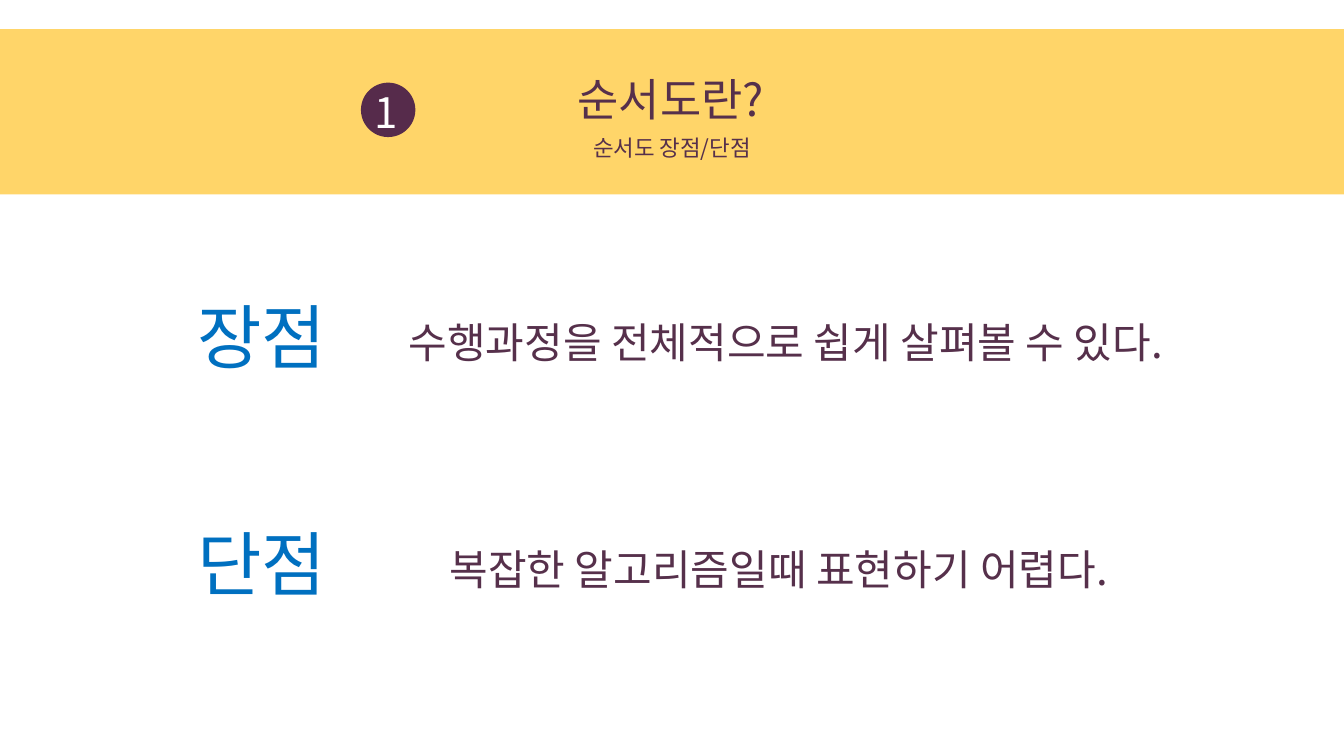
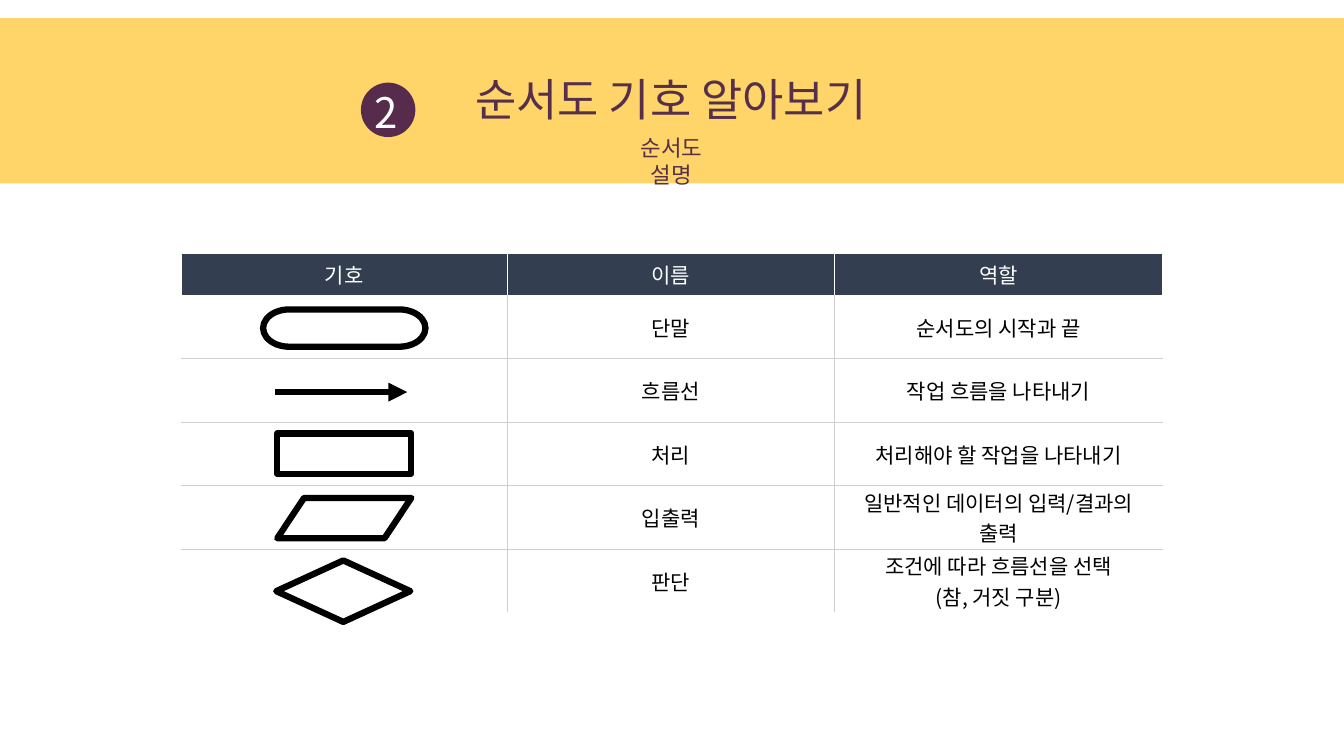
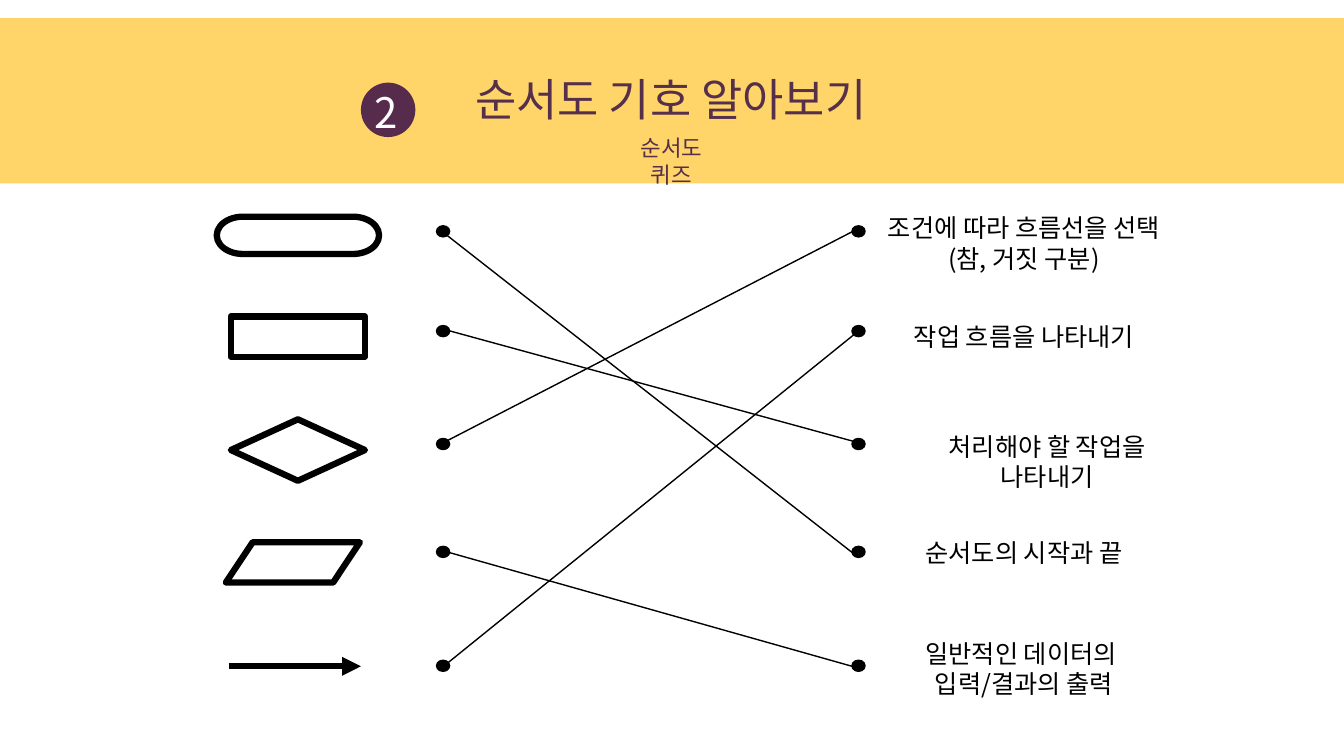
from lxml import etree
from pptx import Presentation
from pptx.dml.color import RGBColor
from pptx.enum.shapes import MSO_CONNECTOR, MSO_SHAPE
from pptx.enum.text import MSO_ANCHOR, PP_ALIGN
from pptx.oxml.ns import qn
from pptx.util import Pt

PX = 9144  # EMU per px, 100 px to the inch
FONT = "Noto Sans CJK KR"
BAND, BADGE, PLUM, BLUE = "FFD569", "562B4B", "56304B", "0070C0"
WHITE, BLACK, NAVY, GREY = "FFFFFF", "000000", "333F50", "D0CECE"
LEFT, CENTER, MIDDLE = PP_ALIGN.LEFT, PP_ALIGN.CENTER, MSO_ANCHOR.MIDDLE
RECT, OVAL, STRAIGHT = MSO_SHAPE.RECTANGLE, MSO_SHAPE.OVAL, MSO_CONNECTOR.STRAIGHT
TERMINAL = MSO_SHAPE.FLOWCHART_TERMINATOR
DATA = MSO_SHAPE.FLOWCHART_DATA
DECISION = MSO_SHAPE.FLOWCHART_DECISION
rgb = RGBColor.from_string


def write(tf, text, size, color, align=CENTER, inset=True):
    """Fill a text frame, one paragraph a line, and format its runs."""
    tf.text = text
    tf.word_wrap = True
    if not inset:
        tf.margin_left = tf.margin_right = tf.margin_top = tf.margin_bottom = 0
    for p in tf.paragraphs:
        p.alignment = align
        for r in p.runs:
            r.font.size = Pt(size)
            r.font.color.rgb = rgb(color)
            r.font.name = FONT
            etree.SubElement(r._r.get_or_add_rPr(), qn("a:ea"), typeface=FONT)


def add_shape(shapes, kind, at, fill=None, line=None, weight=1):
    sp = shapes.add_shape(kind, *[v * PX for v in at])
    sp.shadow.inherit = False
    if fill:
        sp.fill.solid()
        sp.fill.fore_color.rgb = rgb(fill)
    else:
        sp.fill.background()
    if line:
        sp.line.color.rgb = rgb(line)
        sp.line.width = Pt(weight)
    else:
        sp.line.fill.background()


prs = Presentation()
prs.slide_width, prs.slide_height = 1333 * PX, 750 * PX

# Headers: band top, number, title, subtitle, subtitle width
headers = [
    (29, "1", "순서도란?", "순서도 장점/단점", 157),
    (18, "2", "순서도 기호 알아보기", "순서도 설명", 104),
    (18, "2", "순서도 기호 알아보기", "순서도 퀴즈", 104),
]
for band_y, number, title, subtitle, sub_w in headers:
    s = prs.slides.add_slide(prs.slide_layouts[6])
    add_shape(s.shapes, RECT, (0, band_y, 1333, 164), BAND)
    badge = s.shapes.add_group_shape().shapes
    add_shape(badge, OVAL, (358, 82, 54, 54), BADGE)
    for shapes, at, text, size, color, align in [
        (badge, (371, 86, 26, 50), number, 30, WHITE, LEFT),
        (s.shapes, (467, 71, 397, 54), title, 32, PLUM, CENTER),
        (s.shapes, (666 - sub_w // 2, 133, sub_w, 27), subtitle, 16, PLUM, CENTER),
    ]:
        box = shapes.add_textbox(*[v * PX for v in at])
        write(box.text_frame, text, size, color, align, inset=False)
pros_cons, symbol_table, quiz = [s.shapes for s in prs.slides]

# Slide 1: advantage and drawback
for y, x, label, sentence in [
    (291, 211, "장점", "수행과정을 전체적으로 쉽게 살펴볼 수 있다."),
    (516, 204, "단점", "복잡한 알고리즘일때 표현하기 어렵다."),
]:
    box = pros_cons.add_textbox(x * PX, (y + 15) * PX, 1084 * PX, 62 * PX)
    write(box.text_frame, sentence, 30, PLUM)
    p = box.text_frame.paragraphs[0]
    p.line_spacing, p.space_after = 1.07, Pt(8)
    p._p.get_or_add_pPr().set("marL", str(53 * PX))
    box = pros_cons.add_textbox(165 * PX, y * PX, 189 * PX, 84 * PX)
    write(box.text_frame, label, 50, BLUE, inset=False)

# Slide 2: table of symbols
rows = [
    ("기호", "이름", "역할"),
    ("", "단말", "순서도의 시작과 끝"),
    ("", "흐름선", "작업 흐름을 나타내기"),
    ("", "처리", "처리해야 할 작업을 나타내기"),
    ("", "입출력", "일반적인 데이터의 입력/결과의 출력"),
    ("", "판단", "조건에 따라 흐름선을 선택\n(참, 거짓 구분)"),
]
col_widths = [323, 325, 325]
row_heights = [42] + [63] * 5
table = symbol_table.add_table(
    len(rows), 3, 180 * PX, 251 * PX, sum(col_widths) * PX, sum(row_heights) * PX
).table
table.first_row = table.horz_banding = False
for c, width in enumerate(col_widths):
    table.columns[c].width = width * PX
last_row, last_col = len(rows) - 1, len(col_widths) - 1
for r, texts in enumerate(rows):
    table.rows[r].height = row_heights[r] * PX
    for c, text in enumerate(texts):
        cell = table.cell(r, c)
        write(cell.text_frame, text, 15, BLACK if r else WHITE)
        cell.vertical_anchor = MIDDLE
        cell.margin_top = cell.margin_bottom = 0
        inner_edges = [
            ("a:lnL", c > 0, GREY if r else WHITE),
            ("a:lnR", c < last_col, GREY if r else WHITE),
            ("a:lnT", r > 0, GREY if r > 1 else WHITE),
            ("a:lnB", r < last_row, GREY if r else WHITE),
        ]
        for tag, inner, color in inner_edges:
            if inner:
                ln = etree.SubElement(cell._tc.get_or_add_tcPr(), qn(tag), w=str(Pt(1)))
                fill = etree.SubElement(ln, qn("a:solidFill"))
                etree.SubElement(fill, qn("a:srgbClr"), val=color)
        if r:
            cell.fill.background()
        else:
            cell.fill.solid()
            cell.fill.fore_color.rgb = rgb(NAVY)

# Slides 2 and 3: flowchart symbols
symbol_sizes = {TERMINAL: (161, 37), RECT: (133, 40), DATA: (133, 40), DECISION: (133, 61)}
for shapes, kind, x, y in [
    (symbol_table, TERMINAL, 261, 307),
    (symbol_table, RECT, 275, 430),
    (symbol_table, DATA, 275, 494),
    (symbol_table, DECISION, 274, 556),
    (quiz, TERMINAL, 215, 215),
    (quiz, RECT, 229, 314),
    (quiz, DECISION, 229, 416),
    (quiz, DATA, 224, 538),
]:
    fill = WHITE if kind == TERMINAL else None
    add_shape(shapes, kind, (x, y, *symbol_sizes[kind]), fill, BLACK, 4.5)

# Slide 3: matching dots and answers
for x in (433, 845):
    for y in (224, 323, 435, 542, 655):
        add_shape(quiz, OVAL, (x, y, 13, 11), BLACK, BLACK)
for x, y, h, answer in [
    (865, 206, 71, "조건에 따라 흐름선을 선택\n(참, 거짓 구분)"),
    (865, 314, 40, "작업 흐름을 나타내기"),
    (888, 423, 40, "처리해야 할 작업을 나타내기"),
    (865, 528, 40, "순서도의 시작과 끝"),
    (865, 628, 71, "일반적인 데이터의 \n입력/결과의 출력"),
]:
    box = quiz.add_textbox(x * PX, y * PX, 301 * PX, h * PX)
    write(box.text_frame, answer, 18, BLACK)

# Flow arrows and matching lines: start, end, weight
for shapes, ends, weight in [
    (symbol_table, (273, 389, 404, 389), 4.5),
    (quiz, (227, 661, 358, 661), 4.5),
    (quiz, (444, 234, 845, 548), 1),
    (quiz, (445, 328, 858, 441), 1),
    (quiz, (444, 437, 845, 230), 1),
    (quiz, (445, 548, 845, 661), 1),
    (quiz, (435, 665, 847, 332), 1),
]:
    line = shapes.add_connector(STRAIGHT, *[v * PX for v in ends])
    line.line.color.rgb = rgb(BLACK)
    line.line.width = Pt(weight)
    if weight > 1:
        etree.SubElement(line.line._get_or_add_ln(), qn("a:tailEnd"), type="triangle")
    etree.SubElement(line._element.spPr, qn("a:effectLst"))

prs.save("out.pptx")
